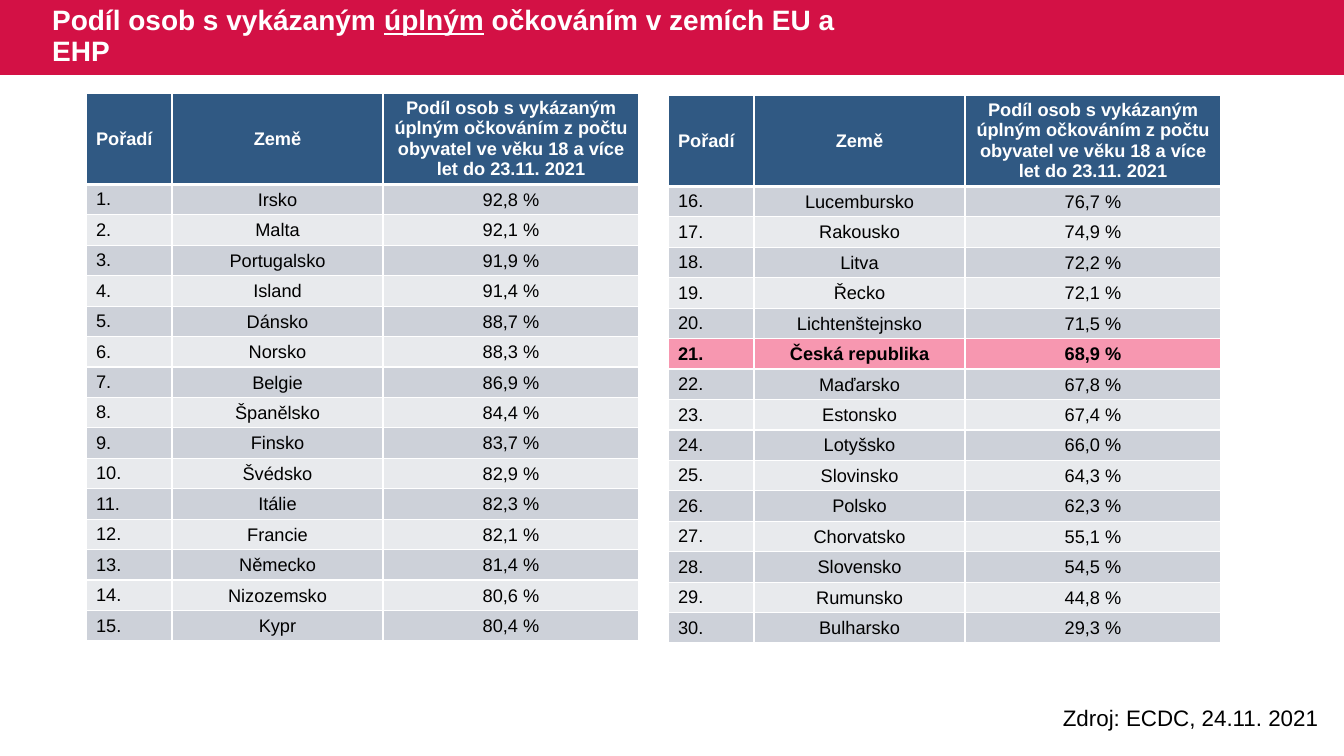
from lxml import etree
from pptx import Presentation
from pptx.dml.color import RGBColor
from pptx.enum.shapes import MSO_SHAPE
from pptx.enum.text import MSO_ANCHOR, MSO_AUTO_SIZE, PP_ALIGN
from pptx.oxml.ns import qn
from pptx.util import Pt

RECT = MSO_SHAPE.RECTANGLE
MIDDLE = MSO_ANCHOR.MIDDLE
LEFT, CENTER = PP_ALIGN.LEFT, PP_ALIGN.CENTER
FIXED = MSO_AUTO_SIZE.NONE

HEADS = ["Pořadí", "Země",
         "Podíl osob s vykázaným úplným očkováním z počtu "
         "obyvatel ve věku 18 a více let do 23.11. 2021"]
FIRST = [("Irsko", "92,8 %"), ("Malta", "92,1 %"), ("Portugalsko", "91,9 %"),
         ("Island", "91,4 %"), ("Dánsko", "88,7 %"), ("Norsko", "88,3 %"),
         ("Belgie", "86,9 %"), ("Španělsko", "84,4 %"), ("Finsko", "83,7 %"),
         ("Švédsko", "82,9 %"), ("Itálie", "82,3 %"), ("Francie", "82,1 %"),
         ("Německo", "81,4 %"), ("Nizozemsko", "80,6 %"), ("Kypr", "80,4 %")]
SECOND = [("Lucembursko", "76,7 %"), ("Rakousko", "74,9 %"), ("Litva", "72,2 %"),
          ("Řecko", "72,1 %"), ("Lichtenštejnsko", "71,5 %"),
          ("Česká republika", "68,9 %"), ("Maďarsko", "67,8 %"),
          ("Estonsko", "67,4 %"), ("Lotyšsko", "66,0 %"), ("Slovinsko", "64,3 %"),
          ("Polsko", "62,3 %"), ("Chorvatsko", "55,1 %"), ("Slovensko", "54,5 %"),
          ("Rumunsko", "44,8 %"), ("Bulharsko", "29,3 %")]


def px(count):
    return round(count * 914400 / 100.8)


def color(code):
    return RGBColor.from_string(code)


def write(para, text, size=13, ink="000000", bold=False, under=False, align=LEFT):
    para.alignment = align
    run = para.add_run()
    run.text = text
    font = run.font
    font.name, font.size = "Arial", Pt(size)
    font.bold, font.underline = bold, under
    font.color.rgb = color(ink)


class Deck:
    red, navy, white = "D31145", "305983", "FFFFFF"
    bands = ["E8EAED", "CDD1D9"]
    mark, home = "F797B0", "Česká republika"
    widths = [86, 211, 256]
    head, row = 90, 30

    def __init__(self):
        self.show = Presentation()
        self.show.slide_width, self.show.slide_height = px(1344), px(756)
        self.slide = self.show.slides.add_slide(self.show.slide_layouts[5])
        self.shapes = self.slide.shapes

    def band(self, *box):
        bar = self.shapes.add_shape(RECT, *map(px, box))
        bar.shadow.inherit = False
        bar.fill.solid()
        bar.fill.fore_color.rgb = color(self.red)
        bar.line.fill.background()
        # Behind the title
        self.shapes.title._element.addprevious(bar._element)

    def title(self, parts, *box):
        title = self.shapes.title
        title.left, title.top, title.width, title.height = map(px, box)
        frame = title.text_frame
        frame.auto_size, frame.word_wrap = FIXED, True
        frame.vertical_anchor = MIDDLE
        para = frame.paragraphs[0]
        para.line_spacing = 0.9
        for text, under in parts:
            write(para, text, size=20, ink=self.white, bold=True, under=under)

    def border(self, cell, base):
        props = cell._tc.get_or_add_tcPr()
        for place, (side, width) in enumerate(
                [("L", 1), ("R", 1), ("T", 1), ("B", base)]):
            line = etree.Element(qn(f"a:ln{side}"), w=str(Pt(width)))
            fill = etree.SubElement(line, qn("a:solidFill"))
            etree.SubElement(fill, qn("a:srgbClr"), val=self.white)
            props.insert(place, line)

    def cell(self, cell, text, fill, base=1, **form):
        cell.vertical_anchor = MIDDLE
        cell.fill.solid()
        cell.fill.fore_color.rgb = color(fill)
        self.border(cell, base)
        write(cell.text_frame.paragraphs[0], text, **form)

    def table(self, left, top, start, data):
        count = len(data)
        frame = self.shapes.add_table(
            count + 1, len(HEADS), px(left), px(top),
            px(sum(self.widths)), px(self.head + count * self.row))
        table = frame.table
        table.horz_banding = False
        for col, width in zip(table.columns, self.widths):
            col.width = px(width)
        for line in table.rows:
            line.height = px(self.row)
        table.rows[0].height = px(self.head)
        # Heading row
        for col, text in enumerate(HEADS):
            self.cell(table.cell(0, col), text, self.navy, base=3, ink=self.white,
                      bold=True, align=CENTER if col else LEFT)
        # Country rows
        for row, (land, share) in enumerate(data, 1):
            home = land == self.home
            fill = self.mark if home else self.bands[row % 2]
            for col, text in enumerate([f"{start + row - 1}.", land, share]):
                cell = table.cell(row, col)
                if col:
                    cell.margin_left = cell.margin_right = cell.margin_top = px(1)
                    cell.margin_bottom = 0
                self.cell(cell, text, fill, base=3 if row == 0 else 1,
                          bold=home, align=CENTER if col else LEFT)

    def note(self, text, *box):
        frame = self.shapes.add_textbox(*map(px, box)).text_frame
        frame.word_wrap = True
        write(frame.paragraphs[0], text, size=16)


def main():
    deck = Deck()
    # Heading
    deck.band(0, 0, 1344, 75)
    deck.title([("Podíl osob s vykázaným ", False), ("úplným", True),
                (" očkováním v zemích EU a EHP", False)], 42, 0, 823, 74)
    # Ranking
    deck.table(86, 93, 1, FIRST)
    deck.table(668, 95, 16, SECOND)
    # Source
    deck.note("Zdroj: ECDC, 24.11. 2021", 1053, 699, 315, 37)
    deck.show.save("out.pptx")


if __name__ == "__main__":
    main()
